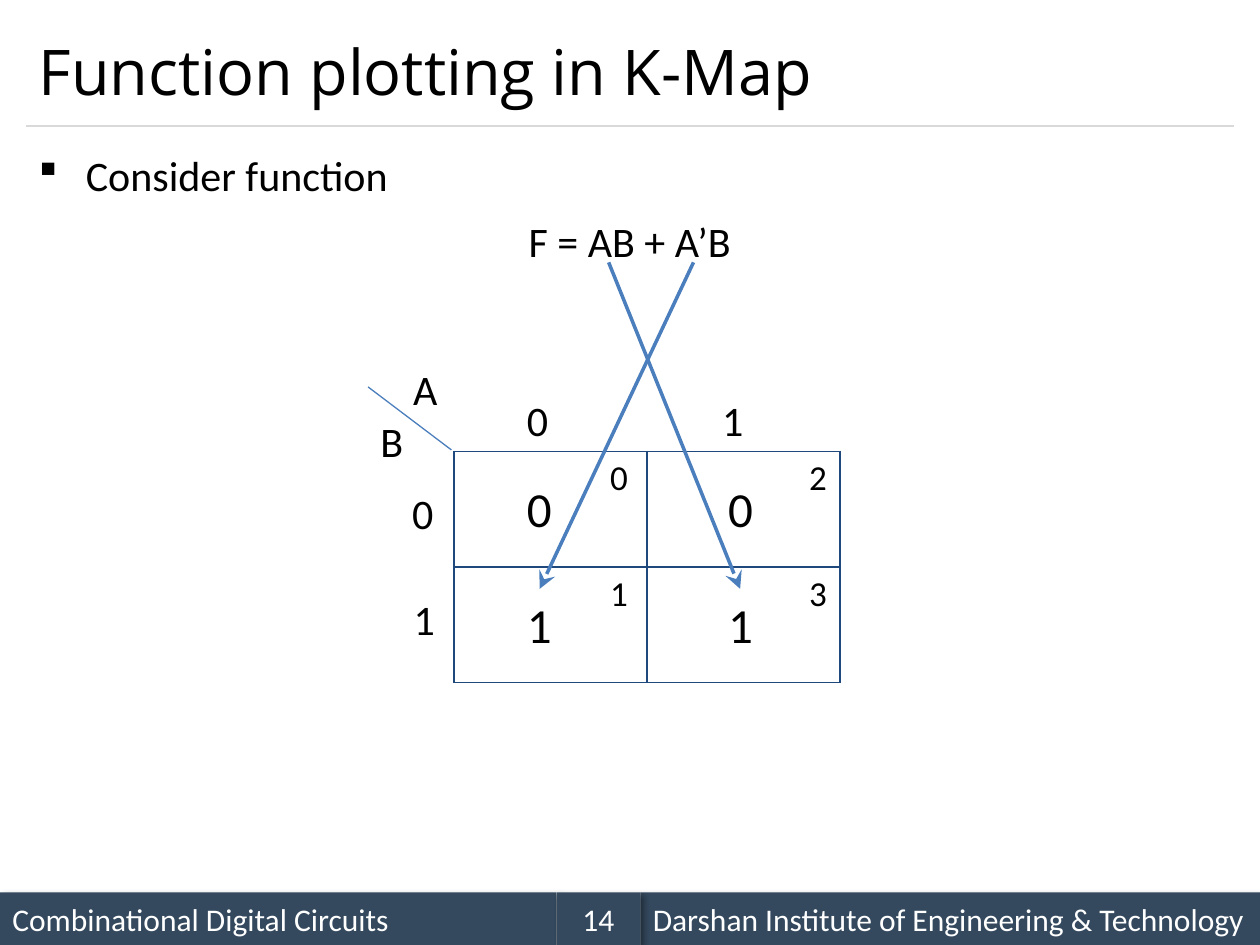
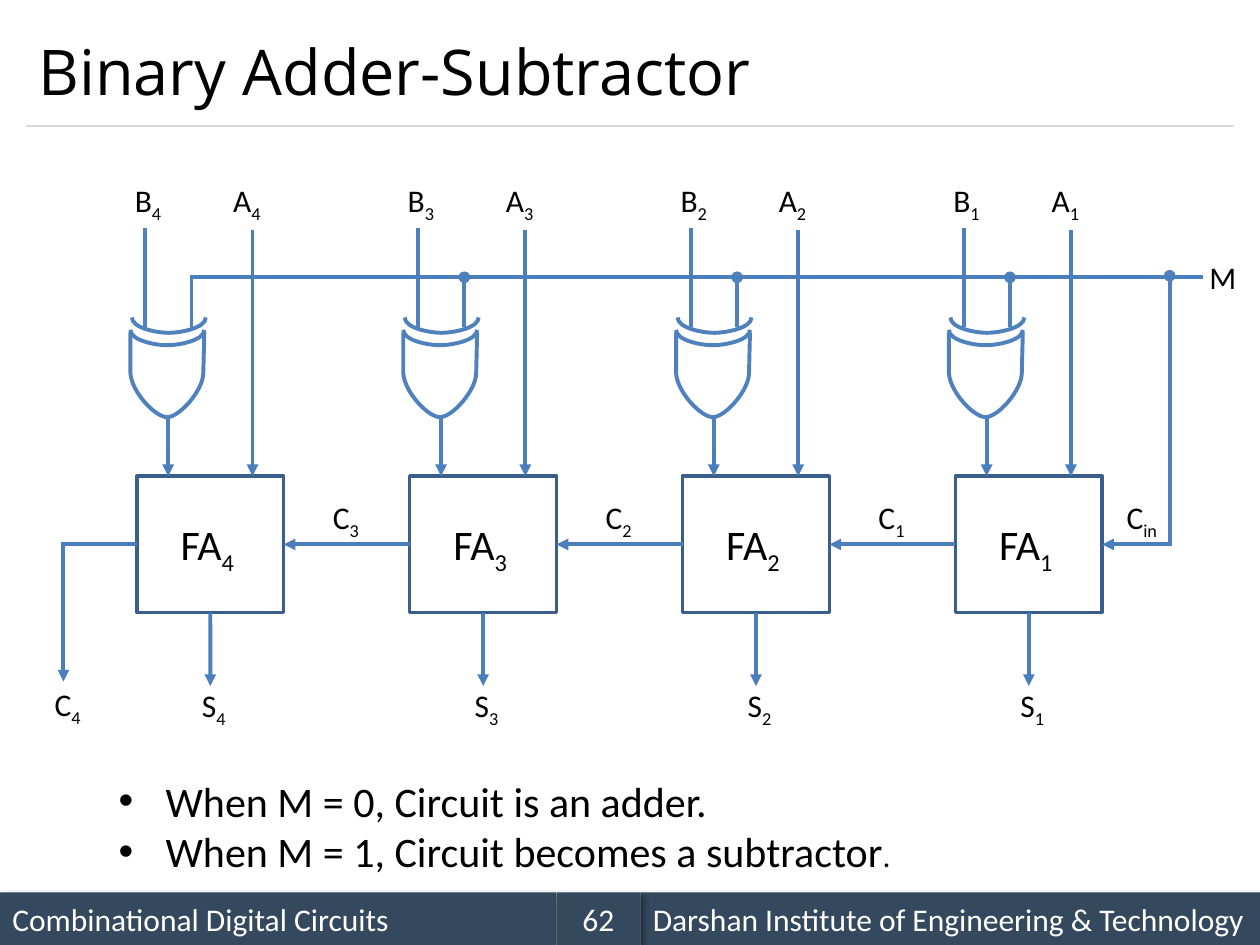
from lxml.etree import SubElement
from pptx import Presentation
from pptx.dml.color import RGBColor
from pptx.enum.shapes import MSO_CONNECTOR as Link, MSO_SHAPE as Preset
from pptx.enum.text import MSO_ANCHOR as Anchor, PP_ALIGN as Align
from pptx.oxml.ns import qn
from pptx.util import Cm, Pt

BLACK = RGBColor(0x00, 0x00, 0x00)
WHITE = RGBColor(0xFF, 0xFF, 0xFF)
SLATE = RGBColor(0x34, 0x49, 0x5E)
RULE_GREY = RGBColor(0xD9, 0xD9, 0xD9)
GRID_NAVY = RGBColor(0x1F, 0x49, 0x7D)
ADDER_EDGE = RGBColor(0x3A, 0x5F, 0x8C)
ARROW_BLUE = RGBColor(0x4B, 0x7E, 0xBC)
WIRE_BLUE = RGBColor(0x4F, 0x81, 0xBD)

BODY_FONT = "Calibri"
TITLE_FONT = "Open Sans"
WIDTH, HEIGHT = 25.4, 19.05
MARGIN, CONTENT_WIDTH = 0.53, 24.33
RULE_Y = 2.54
FOOTER_TOP, FOOTER_HEIGHT = 17.99, 1.06
CELL_WIDTH, CELL_HEIGHT = 3.89, 2.33
ADDER_WIDTH, ADDER_HEIGHT, ADDER_PITCH = 2.96, 2.75, 5.5
TAP_X, BUS_Y = 1.1, -4.01


def add_bullet(para, char, font):
    properties = para._p.get_or_add_pPr()
    properties.set("marL", str(Cm(0.95)))
    properties.set("indent", str(-Cm(0.95)))
    SubElement(properties, qn("a:buFont"), typeface=font)
    SubElement(properties, qn("a:buChar"), char=char)


def style(para, size, color=BLACK, font=BODY_FONT):
    para.font.size = Pt(size)
    para.font.name = font
    para.font.color.rgb = color


def add_text_box(page, left, top, width, height):
    box = page.shapes.add_textbox(Cm(left), Cm(top), Cm(width), Cm(height))
    box.text_frame.word_wrap = True
    return box.text_frame


def add_label(page, text, left, top, size=18, width=1.27):
    frame = add_text_box(page, left, top, width, size * 0.05)
    para = frame.paragraphs[0]
    base, _, subscript = text.partition("_")
    para.add_run().text = base
    if subscript:
        span = para.add_run()
        span.text = subscript
        span._r.get_or_add_rPr().set("baseline", "-25000")
    style(para, size)


def add_line(page, start, end, color=WIRE_BLUE, width=2.25, head=None, tail=None,
             tip_size="med"):
    line = page.shapes.add_connector(
        Link.STRAIGHT, *(Cm(value) for value in (*start, *end)))
    line.line.color.rgb = color
    line.line.width = Pt(width)
    properties = line.element.spPr
    outline = properties.find(qn("a:ln"))
    for tag, kind in (("a:headEnd", head), ("a:tailEnd", tail)):
        if kind:
            SubElement(outline, qn(tag), type=kind, w=tip_size, len=tip_size)
    SubElement(properties, qn("a:effectLst"))
    return line


def add_arrow(page, start, end):
    return add_line(page, start, end, ARROW_BLUE, tail="triangle")


def add_footer_shadow(band):
    effects = band.element.spPr.find(qn("a:effectLst"))
    shadow = SubElement(effects, qn("a:outerShdw"), blurRad=str(Pt(4)),
                        dist=str(Pt(3)), dir="2700000", algn="tl", rotWithShape="0")
    color = SubElement(shadow, qn("a:srgbClr"), val=str(BLACK))
    SubElement(color, qn("a:alpha"), val="40000")


def add_footer_band(page, text, left, width, align=Align.LEFT):
    band = page.shapes.add_shape(
        Preset.RECTANGLE, Cm(left), Cm(FOOTER_TOP), Cm(width), Cm(FOOTER_HEIGHT))
    band.shadow.inherit = False
    add_footer_shadow(band)
    band.fill.solid()
    band.fill.fore_color.rgb = SLATE
    band.line.fill.background()
    band.text_frame.vertical_anchor = Anchor.MIDDLE
    para = band.text_frame.paragraphs[0]
    para.text = text
    para.alignment = align
    style(para, 18, WHITE)


def add_page(deck, title, number):
    page = deck.slides.add_slide(deck.slide_layouts[6])
    add_footer_band(page, "Combinational Digital Circuits", 0, 11.22)
    add_line(page, (MARGIN, RULE_Y), (WIDTH - MARGIN, RULE_Y), RULE_GREY, 0.75)
    add_footer_band(page, "Darshan Institute of Engineering & Technology", 12.91, 12.49)
    add_footer_band(page, str(number), 11.22, 1.69, Align.CENTER)
    frame = add_text_box(page, MARGIN, 0.3, CONTENT_WIDTH, 2.24)
    frame.vertical_anchor = Anchor.MIDDLE
    frame.paragraphs[0].text = title
    style(frame.paragraphs[0], 36, font=TITLE_FONT)
    return page


def add_function_text(page, left, top, width, height):
    frame = add_text_box(page, left, top, width, height)
    intro, formula = frame.paragraphs[0], frame.add_paragraph()
    intro.text = "Consider function"
    add_bullet(intro, "§", "Wingdings")
    formula.text = "F = AB + A’B"
    formula.alignment = Align.CENTER
    formula.space_before = Pt(4.8)
    for para in (intro, formula):
        para.line_spacing = 1.14
        style(para, 24)


def add_cell_border(cell):
    properties = cell._tc.get_or_add_tcPr()
    for position, side in enumerate(("a:lnL", "a:lnR", "a:lnT", "a:lnB")):
        border = properties.makeelement(qn(side), {"w": str(Pt(1))})
        properties.insert(position, border)
        fill = SubElement(border, qn("a:solidFill"))
        SubElement(fill, qn("a:srgbClr"), val=str(GRID_NAVY))


def add_map_grid(page, left, top):
    table = page.shapes.add_table(
        2, 2, Cm(left), Cm(top), Cm(2 * CELL_WIDTH), Cm(2 * CELL_HEIGHT)).table
    table.first_row = table.horz_banding = False
    for cell in table.iter_cells():
        cell.fill.background()
        add_cell_border(cell)


def add_map(page, left, top):
    def place(text, x, y, size=24):
        add_label(page, text, left + x, top + y, size, 1.02)

    def at(x, y):
        return left + x, top + y

    add_map_grid(page, left, top)
    add_line(page, at(-0.05, -0.03), at(-1.73, -1.3), ARROW_BLUE, 0.75)
    place("A", -1.07, -1.9)
    place("B", -1.73, -0.84)
    for step in range(2):
        place(str(step), 1.22 + 3.94 * step, -1.27)
        place(str(step), -1.09 + 0.03 * step, 0.61 + 2.13 * step)
    for column in range(2):
        for row, value in enumerate("01"):
            y = CELL_HEIGHT * row
            place(str(2 * column + row), 2.9 + 4.01 * column, y - 0.04, 20)
            place(value, 1.22 + 4.06 * column, y + 0.43, 28)
    for term_x, cell_x in ((3.12, 5.77), (4.83, 1.73)):
        add_line(page, at(term_x, -3.81), at(cell_x, 2.77), ARROW_BLUE, 2,
                 tail="stealth", tip_size="lg")


def add_outline(page, points, left, top, curve_starts):
    (x, y), *rest = [(Cm(left + px), Cm(top + py)) for px, py in points]
    builder = page.shapes.build_freeform(x, y)
    builder.add_line_segments(rest, close=False)
    outline = builder.convert_to_shape()
    segments = list(outline.element.iter(qn("a:lnTo")))
    for first in curve_starts:
        bend = segments[first].makeelement(qn("a:cubicBezTo"), {})
        segments[first].addprevious(bend)
        for segment in segments[first:first + 3]:
            bend.append(segment[0])
            segment.getparent().remove(segment)
    outline.shadow.inherit = False
    outline.fill.background()
    outline.line.color.rgb = WIRE_BLUE
    outline.line.width = Pt(2.25)


def add_xor_gate(page, left, top):
    body = [(1.49, 0.05), (1.47, 0.87),
            (1.47, 1.22), (0.99, 1.76), (0.74, 1.76),
            (0.5, 1.76), (0.02, 1.25), (0, 0.87), (0, 0.05)]
    arc = [(0, 0), (0, 0.21), (0.49, 0.31), (0.74, 0.31),
           (0.99, 0.31), (1.49, 0.21), (1.49, 0)]
    add_outline(page, body, left, top, (1, 4))
    add_outline(page, arc, left, top, (0, 3))
    add_outline(page, arc, left + 0.03, top - 0.25, (0, 3))


def add_stage(page, bit, left, top, higher_adder):
    def at(x, y):
        return left + x, top + y

    adder = page.shapes.add_shape(
        Preset.RECTANGLE, Cm(left), Cm(top), Cm(ADDER_WIDTH), Cm(ADDER_HEIGHT))
    adder.shadow.inherit = False
    adder.fill.background()
    adder.line.color.rgb = ADDER_EDGE
    adder.line.width = Pt(2)
    add_label(page, f"FA_{bit}", *at(0.63, 0.73), 24, 1.9)
    middle = ADDER_WIDTH / 2
    total = add_arrow(page, at(middle, ADDER_HEIGHT), at(middle, 4.23))
    total.begin_connect(adder, 2)
    add_label(page, f"S_{bit}", *at(1.06, 4.1))
    side = ADDER_HEIGHT / 2
    if higher_adder:
        carry = add_arrow(page, at(0, side), at(ADDER_WIDTH - ADDER_PITCH, side))
        carry.begin_connect(adder, 1)
        carry.end_connect(higher_adder, 3)
        add_label(page, f"C_{bit}", *at(-1.8, 0.31))
    else:
        add_arrow(page, at(-1.48, 1.33), at(-1.48, 4.14))
        add_label(page, f"C_{bit}", *at(-1.91, 4.09))
        carry = add_line(page, at(0, side), at(-1.48, side), ARROW_BLUE)
        carry.begin_connect(adder, 1)
    add_arrow(page, at(0.63, -0.81), at(0.63, 0))
    add_arrow(page, at(2.33, -4.97), at(2.33, 0))
    add_label(page, f"B_{bit}", *at(-0.29, -6.07))
    add_label(page, f"A_{bit}", *at(1.69, -6.07))
    add_line(page, at(0.17, -5), at(0.17, -3))
    add_line(page, at(0.63, -1.22), at(0.63, -0.48))
    add_xor_gate(page, left - 0.13, top - 2.95)
    add_line(page, at(TAP_X, BUS_Y), at(TAP_X, -3), head="oval" if higher_adder else None)
    return adder


def add_adder_circuit(page, left, top):
    adder = None
    for step, bit in enumerate((4, 3, 2, 1)):
        adder = add_stage(page, bit, left + step * ADDER_PITCH, top, adder)
    riser_x, side_y = left + 20.82, top + ADDER_HEIGHT / 2
    bus_y = top + BUS_Y
    add_line(page, (riser_x, bus_y - 0.03), (riser_x, side_y + 0.04), head="oval")
    carry_in = add_arrow(page, (riser_x, side_y), (left + 19.46, side_y))
    carry_in.end_connect(adder, 3)
    add_label(page, "C_in", left + 19.7, top + 0.31)
    add_line(page, (left + TAP_X - 0.02, bus_y), (left + 21.5, bus_y), ARROW_BLUE)
    add_label(page, "M", left + 21.37, bus_y - 0.51)


def add_mode_notes(page, left, top, width, height):
    frame = add_text_box(page, left, top, width, height)
    adding, subtracting = frame.paragraphs[0], frame.add_paragraph()
    adding.text = "When M = 0, Circuit is an adder."
    subtracting.text = "When M = 1, Circuit becomes a subtractor"
    stop = subtracting.add_run()
    stop.text = "."
    stop.font.size = Pt(18)
    for para in (adding, subtracting):
        add_bullet(para, "•", "Arial")
        style(para, 24)


def main():
    deck = Presentation()
    deck.slide_width, deck.slide_height = Cm(WIDTH), Cm(HEIGHT)
    page = add_page(deck, "Function plotting in K-Map", 14)
    add_function_text(page, MARGIN, 2.75, CONTENT_WIDTH, 14.81)
    add_map(page, 9.15, 9.1)
    page = add_page(deck, "Binary Adder-Subtractor", 62)
    add_adder_circuit(page, 2.76, 9.6)
    add_mode_notes(page, 2.14, 15.5, 21.51, 2.31)
    deck.save("out.pptx")


if __name__ == "__main__":
    main()
